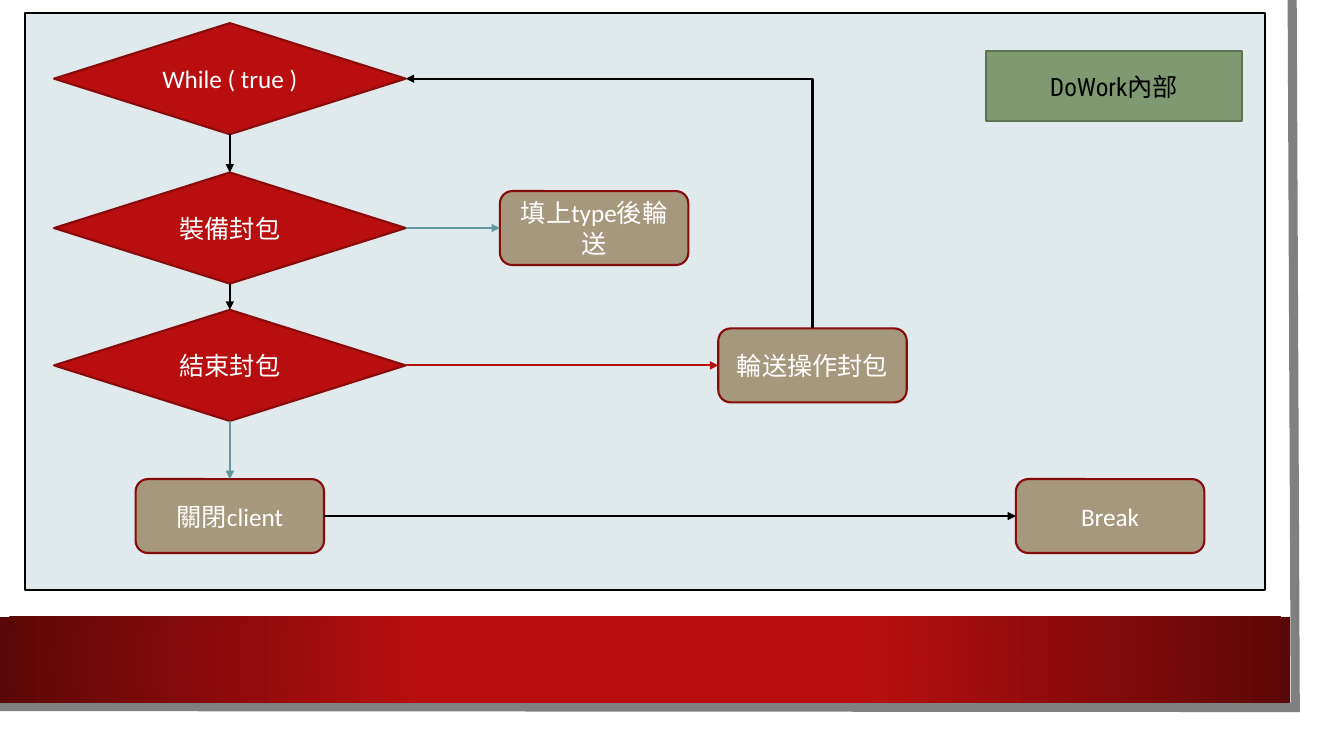
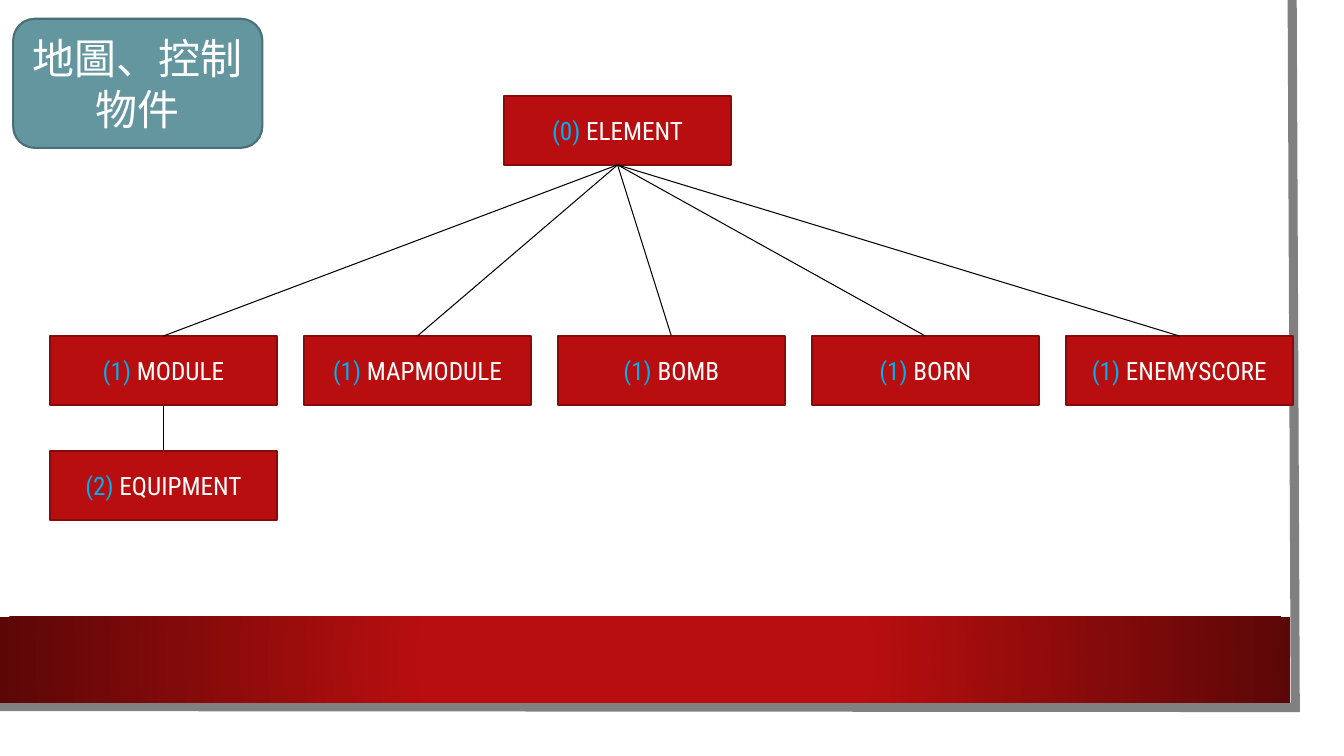
from dataclasses import dataclass

from pptx import Presentation
from pptx.dml.color import RGBColor
from pptx.enum.shapes import MSO_CONNECTOR as LINE, MSO_SHAPE as SHAPE
from pptx.enum.text import MSO_ANCHOR, PP_ALIGN
from pptx.oxml import parse_xml
from pptx.oxml.ns import nsdecls
from pptx.util import Pt

TOP, LEFT, BOTTOM, RIGHT = range(4)


@dataclass(frozen=True)
class Theme:
    white: str = "FFFFFF"
    black: str = "000000"
    red: str = "B80E0F"
    red_edge: str = "880A0B"
    red_dark: str = "5C0707"
    gray: str = "808080"
    panel: str = "E0EAEC"
    tan: str = "A6987D"
    teal: str = "64969F"
    teal_edge: str = "4A6F76"
    green: str = "7F9A71"
    green_edge: str = "5E7254"
    level: str = "00B0F0"
    body_font: str = "Calibri"
    label_font: str = "Roboto Condensed"
    body_size: float = 18
    title_size: float = 30
    outline: float = 1.5
    hairline: float = 0.75
    sheet_edge: float = 6.5


def drawing(tag, attributes="", content=""):
    """Make one DrawingML element."""
    return parse_xml(f"<a:{tag} {nsdecls('a')} {attributes}>{content}</a:{tag}>")


class Deck:
    def __init__(self, theme):
        self.theme = theme
        self.presentation = Presentation()
        self.presentation.slide_width = Pt(960)
        self.presentation.slide_height = Pt(540)
        self.page = None

    def add_page(self):
        """Start a slide with the sheet, its edge and the red band."""
        theme = self.theme
        blank = self.presentation.slide_layouts[6]
        self.page = self.presentation.slides.add_slide(blank)
        self.box(0, 0, 943, 523.5, theme.white)
        builder = self.page.shapes.build_freeform(Pt(923), Pt(0))
        builder.add_line_segments([(Pt(925.2), Pt(505.4)), (Pt(-2.2), Pt(504.7))], close=False)
        edge = builder.convert_to_shape()
        edge.shadow.inherit = False
        edge.fill.background()
        self.outline(edge.line, theme.gray, theme.sheet_edge)
        edge.element.spPr.get_or_add_ln().append(drawing("miter", 'lim="800000"'))
        band = self.box(0, 440.6, 921.6, 61.4, theme.red)
        self.radial_fill(band, [(34, theme.red), (100, theme.red_dark)])

    def radial_fill(self, shape, stops):
        colours = "".join(
            f'<a:gs pos="{place * 1000}"><a:srgbClr val="{colour}"/></a:gs>' for place, colour in stops)
        centre = '<a:fillToRect l="50000" t="50000" r="50000" b="50000"/>'
        properties = shape.element.spPr
        solid = properties.find("{*}solidFill")
        properties.replace(solid, drawing(
            "gradFill", "", f'<a:gsLst>{colours}</a:gsLst><a:path path="circle">{centre}</a:path>'))

    def outline(self, line, colour, width):
        line.color.rgb = RGBColor.from_string(colour)
        line.width = Pt(width)

    def box(self, left, top, width, height, fill, edge=None, kind=SHAPE.RECTANGLE):
        shape = self.page.shapes.add_shape(kind, Pt(left), Pt(top), Pt(width), Pt(height))
        shape.shadow.inherit = False
        shape.fill.solid()
        shape.fill.fore_color.rgb = RGBColor.from_string(fill)
        if edge:
            self.outline(shape.line, edge, self.theme.outline)
        else:
            shape.line.fill.background()
        return shape

    def centre_text(self, shape, spans, font, size):
        """Centre the spans, given as (text, colour), in the shape."""
        frame = shape.text_frame
        frame.word_wrap = True
        frame.vertical_anchor = MSO_ANCHOR.MIDDLE
        para = frame.paragraphs[0]
        para.alignment = PP_ALIGN.CENTER
        for text, colour in spans:
            span = para.add_run()
            span.text = text
            span.font.name, span.font.size = font, Pt(size)
            span.font.color.rgb = RGBColor.from_string(colour)

    def flow_node(self, text, x, y, width, height, fill, kind):
        """Add a flowchart node centred on x, y."""
        theme = self.theme
        shape = self.box(x - width / 2, y - height / 2, width, height, fill, theme.red_edge, kind)
        self.centre_text(shape, [(text, theme.white)], theme.body_font, theme.body_size)
        return shape

    def decision(self, text, x, y):
        return self.flow_node(text, x, y, 251.2, 79.4, self.theme.red, SHAPE.FLOWCHART_DECISION)

    def action(self, text, x, y):
        return self.flow_node(text, x, y, 134.6, 52.8, self.theme.tan, SHAPE.ROUNDED_RECTANGLE)

    def class_box(self, level, name, left, top):
        theme = self.theme
        shape = self.box(left, top, 162.3, 49.2, theme.red, theme.red_edge)
        self.centre_text(shape, [(f"({level}) ", theme.level), (name, theme.white)],
                         theme.label_font, theme.body_size)
        return shape

    def link(self, start, start_side, end, end_side, colour, width, kind=LINE.STRAIGHT):
        line = self.page.shapes.add_connector(kind, 0, 0, 0, 0)
        line.begin_connect(start, start_side)
        line.end_connect(end, end_side)
        self.outline(line.line, colour, width)
        line.element.spPr.append(drawing("effectLst"))
        return line

    def arrow(self, start, start_side, end, end_side, colour, kind=LINE.STRAIGHT):
        line = self.link(start, start_side, end, end_side, colour, self.theme.outline, kind)
        line.element.spPr.get_or_add_ln().append(drawing("tailEnd", 'type="triangle"'))
        return line

    def loop_arrow(self, start, end, colour):
        """Go up from the top of start, then left to the right side of end."""
        line = self.arrow(start, TOP, end, RIGHT, colour, LINE.ELBOW)
        across, rise = line.begin_x - line.end_x, line.begin_y - line.end_y
        middle_x, middle_y = line.end_x + across // 2, line.end_y + rise // 2
        properties = line.element.spPr
        properties.find("{*}prstGeom").set("prst", "bentConnector2")
        turn = properties.find("{*}xfrm")
        turn.attrib.clear()
        turn.set("rot", "16200000")
        turn.set("flipV", "1")
        line.left, line.top = middle_x - rise // 2, middle_y - across // 2
        line.width, line.height = rise, across


def add_work_loop(deck):
    theme = deck.theme
    deck.add_page()
    deck.box(18, 9.3, 885.6, 412, theme.panel, theme.black)
    main_x, row_equip, row_finish, row_close = 164.2, 162.9, 261, 368.6
    loop = deck.decision("While ( true )", main_x, 56.2)
    equip = deck.decision("裝備封包", main_x, row_equip)
    finish = deck.decision("結束封包", main_x, row_finish)
    fill_type = deck.action("填上type後輪送", 424.4, row_equip)
    send = deck.action("輪送操作封包", 580.4, row_finish)
    close = deck.action("關閉client", main_x, row_close)
    leave = deck.action("Break", 793, row_close)
    for start, start_side, end, end_side, colour in (
        (loop, BOTTOM, equip, TOP, theme.black),
        (equip, BOTTOM, finish, TOP, theme.black),
        (finish, BOTTOM, close, TOP, theme.teal),
        (equip, RIGHT, fill_type, LEFT, theme.teal),
        (finish, RIGHT, send, LEFT, theme.red),
        (close, RIGHT, leave, LEFT, theme.black),
    ):
        deck.arrow(start, start_side, end, end_side, colour)
    deck.loop_arrow(send, loop, theme.black)
    label = deck.box(704.2, 36.7, 183, 49.8, theme.green, theme.green_edge)
    deck.centre_text(label, [("DoWork內部", theme.black)], theme.label_font, theme.body_size)


def add_class_tree(deck):
    theme = deck.theme
    deck.add_page()
    first_left, pitch, child_top = 35.6, 181.4, 240
    root = deck.class_box(0, "ELEMENT", 360, 68.6)
    names = ("MODULE", "MAPMODULE", "BOMB", "BORN", "ENEMYSCORE")
    children = [deck.class_box(1, name, first_left + column * pitch, child_top)
                for column, name in enumerate(names)]
    equipment = deck.class_box(2, "EQUIPMENT", first_left, 322.3)
    pairs = [(root, child) for child in children] + [(children[0], equipment)]
    for parent, child in pairs:
        deck.link(parent, BOTTOM, child, TOP, theme.black, theme.hairline)
    title = deck.box(9.4, 13.4, 178, 92.2, theme.teal, theme.teal_edge, SHAPE.ROUNDED_RECTANGLE)
    deck.centre_text(title, [("地圖、控制物件", theme.white)], theme.label_font, theme.title_size)


def main():
    deck = Deck(Theme())
    add_work_loop(deck)
    add_class_tree(deck)
    deck.presentation.save("out.pptx")


if __name__ == "__main__":
    main()
